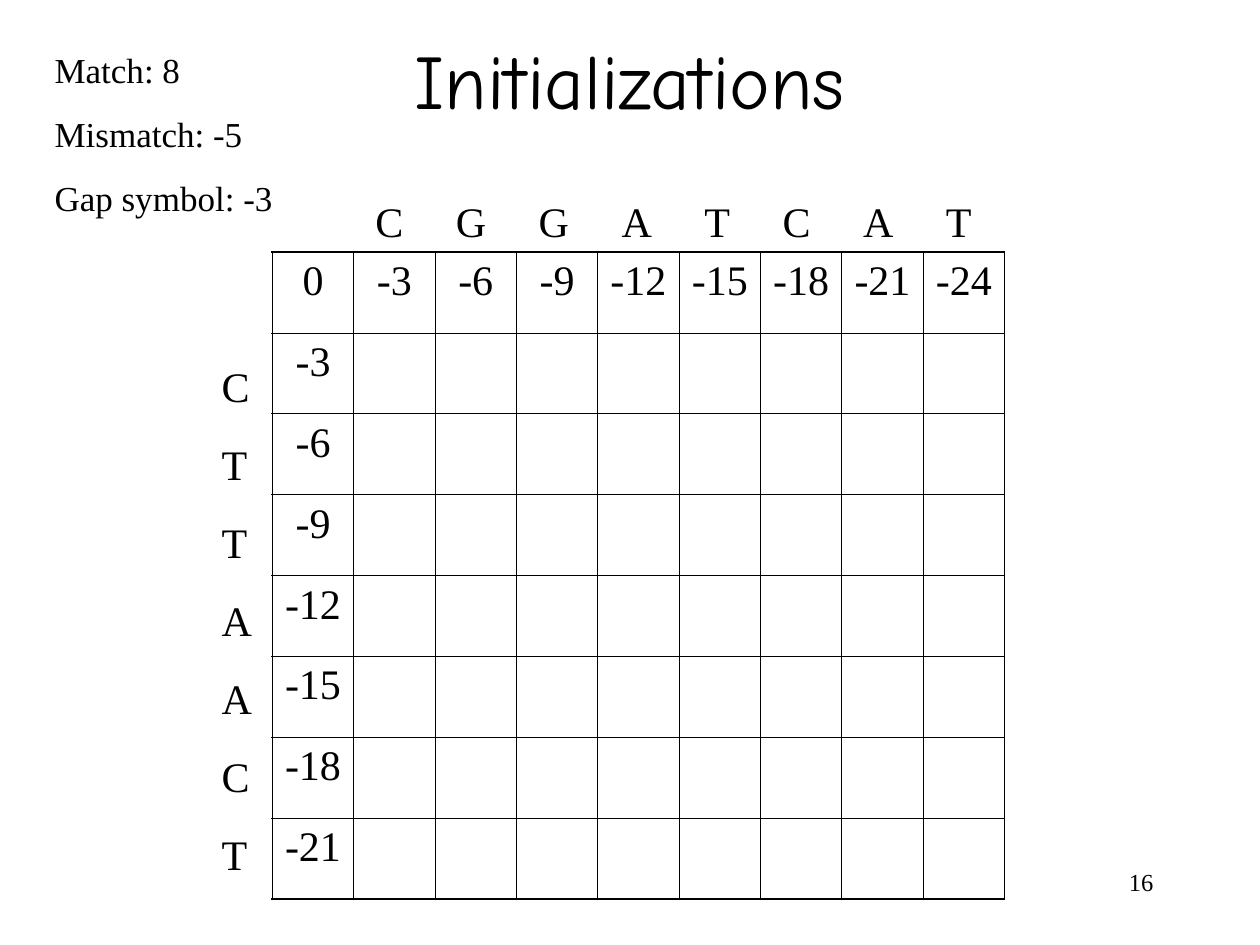
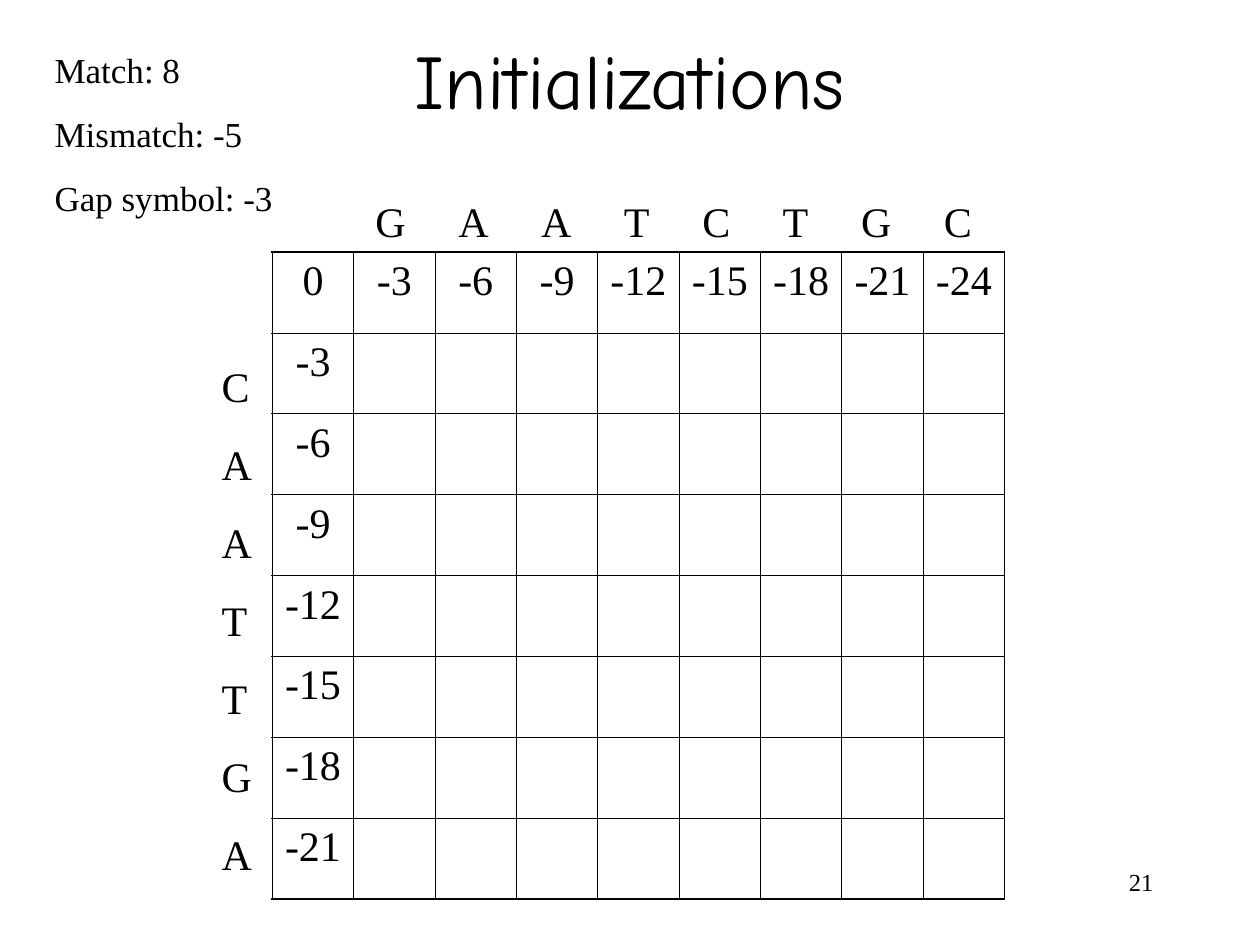
from itertools import accumulate

from pptx import Presentation
from pptx import util as u
from pptx.dml.color import RGBColor
from pptx.enum import text
from pptx.oxml.ns import qn
from lxml import etree

SCORES = {"Match": 8, "Mismatch": -5, "Gap symbol": -3}
GAP = SCORES["Gap symbol"]
LETTER_WIDTHS = {"A": 0.61, "C": 0.56, "G": 0.61, "T": 0.52}
LETTER_GAP = 1.06
SLIDES = [("CGGATCAT", "CTTAACT", 16), ("GAATCTGC", "CAATTGA", 21)]


def color(value):
    return RGBColor.from_string(value)


class Deck:
    ink = "000000"
    title_font = "Comic Neue"
    body_font = "Times New Roman"
    letter_size = 24
    thin, thick = 0.45, 1.08
    cell_w, cell_h = 1.64, 1.63

    def __init__(self):
        self.prs = Presentation()
        self.prs.slide_width, self.prs.slide_height = u.Cm(25.4), u.Cm(19.05)
        self.s = None

    def new_slide(self):
        self.s = self.prs.slides.add_slide(self.prs.slide_layouts[5])

    def run(self, p, words, size, font=None):
        r = p.add_run()
        r.text = words
        r.font.size = u.Pt(size)
        r.font.name = font or self.body_font
        r.font.color.rgb = color(self.ink)

    def title(self, words):
        sp = self.s.shapes.title
        sp.left, sp.top, sp.width, sp.height = map(u.Cm, (1.9, 0, 21.6, 3.18))
        tf = sp.text_frame
        tf.auto_size = text.MSO_AUTO_SIZE.NONE
        tf.vertical_anchor = text.MSO_ANCHOR.MIDDLE
        p = tf.paragraphs[0]
        p.alignment = text.PP_ALIGN.CENTER
        self.run(p, words, 44, self.title_font)

    def box(self, *place):
        tf = self.s.shapes.add_textbox(*map(u.Cm, place)).text_frame
        tf.word_wrap = True
        return tf

    def number(self, n):
        p = self.box(18.2, 17.35, 5.3, 1.27).paragraphs[0]
        p.alignment = text.PP_ALIGN.RIGHT
        self.run(p, str(n), 14)

    def scores(self, scores):
        tf = self.box(0.85, 0.85, 5.29, 3.68)
        for i, (name, value) in enumerate(scores.items()):
            p = tf.add_paragraph() if i else tf.paragraphs[0]
            p.space_before = u.Pt(12.5)
            self.run(p, f"{name}: {value}", 20)

    def top_letters(self, letters):
        p = self.box(7.32, 3.81, 15.93, 1.27).paragraphs[0]
        self.run(p, "\t".join(letters), self.letter_size)
        tabs = etree.SubElement(p._p.get_or_add_pPr(), qn("a:tabLst"))
        for stop in accumulate(LETTER_WIDTHS[c] + LETTER_GAP for c in letters[:-1]):
            etree.SubElement(tabs, qn("a:tab"), pos=str(u.Cm(stop)), algn="l")

    def side_letters(self, letters):
        p = self.box(4.22, 6.58, 1.42, 11.28).paragraphs[0]
        p.line_spacing = 1.55
        p.space_before = u.Pt(15)
        for i, letter in enumerate(letters):
            if i:
                p.add_line_break()
            self.run(p, letter, self.letter_size)

    def borders(self, cell, outer):
        tcPr = cell._tc.get_or_add_tcPr()
        for side in "LRTB":
            width = u.Pt(self.thick if side in outer else self.thin)
            ln = etree.SubElement(tcPr, qn(f"a:ln{side}"), w=str(width))
            fill = etree.SubElement(ln, qn("a:solidFill"))
            etree.SubElement(fill, qn("a:srgbClr"), val=self.ink)

    def grid(self, rows, cols):
        frame = self.s.shapes.add_table(
            rows, cols, u.Cm(5.49), u.Cm(5.08),
            u.Cm(cols * self.cell_w), u.Cm(rows * self.cell_h))
        table = frame.table
        table.first_row = table.horz_banding = False
        for col in table.columns:
            col.width = u.Cm(self.cell_w)
        for row in table.rows:
            row.height = u.Cm(self.cell_h)
        for i in range(rows):
            for j in range(cols):
                cell = table.cell(i, j)
                edges = {"L": j == 0, "R": j == cols - 1,
                         "T": i == 0, "B": i == rows - 1}
                self.borders(cell, [side for side in edges if edges[side]])
                cell.fill.background()
                if i == 0 or j == 0:
                    p = cell.text_frame.paragraphs[0]
                    p.alignment = text.PP_ALIGN.CENTER
                    p.space_before = u.Pt(6)
                    self.run(p, str(GAP * (i + j)), self.letter_size)


def main():
    deck = Deck()
    for across, down, n in SLIDES:
        deck.new_slide()
        deck.number(n)
        deck.title("Initializations")
        deck.grid(len(down) + 1, len(across) + 1)
        deck.top_letters(across)
        deck.side_letters(down)
        deck.scores(SCORES)
    deck.prs.save("out.pptx")


if __name__ == "__main__":
    main()
